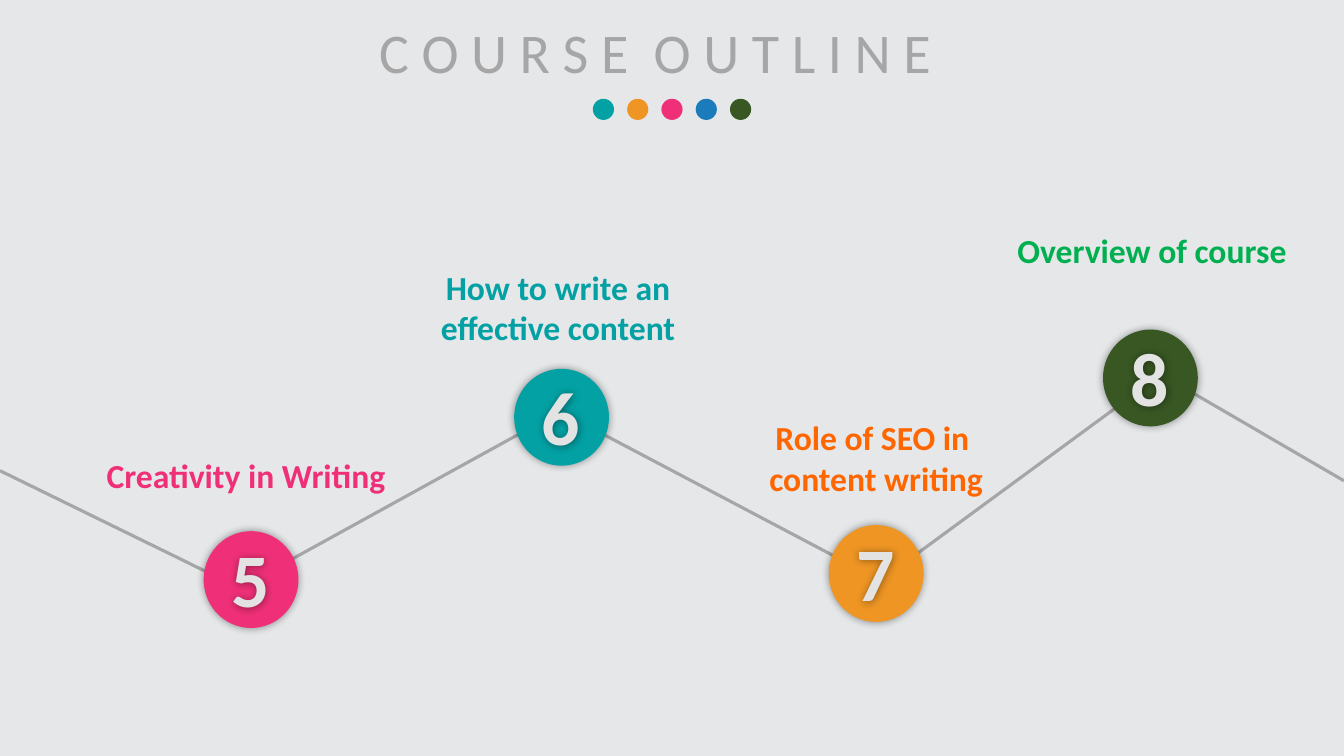
from dataclasses import dataclass

from lxml.etree import SubElement
from pptx import Presentation
from pptx.dml.color import RGBColor
from pptx.enum.shapes import MSO_CONNECTOR, MSO_SHAPE
from pptx.enum.text import PP_ALIGN
from pptx.oxml.ns import qn
from pptx.util import Emu, Pt


@dataclass(frozen=True)
class Theme:
    """Colours, font and type sizes of the slide."""
    background: str = "E6E7E9"
    grey: str = "A6A6A6"
    digit: str = "E3E3E3"
    teal: str = "03A1A4"
    orange: str = "EE9524"
    pink: str = "EF3078"
    blue: str = "1C7CBB"
    forest: str = "385723"
    bright_orange: str = "FF6600"
    green: str = "00B050"
    font: str = "Calibri"
    title_size: int = 40
    number_size: int = 54
    label_size: int = 24
    line_width: float = 2.25


class OutlineSlide:
    """Draws styled elements on the current page, measured in px."""
    EMU_PER_PX = 9144

    def __init__(self, deck, theme):
        """Add a blank page with the theme's background."""
        self.theme = theme
        self.page = deck.slides.add_slide(deck.slide_layouts[6])
        fill = self.page.background.fill
        fill.solid()
        fill.fore_color.rgb = RGBColor.from_string(theme.background)

    @classmethod
    def px(cls, *lengths):
        """Turn px into EMU."""
        return [Emu(length * cls.EMU_PER_PX) for length in lengths]

    def glow(self, shape):
        """Give a shape a soft dark shadow on all sides."""
        effects = SubElement(shape._element.spPr, qn("a:effectLst"))
        shadow = SubElement(effects, qn("a:outerShdw"), blurRad=str(Pt(6)),
                            dist="0", dir="0", algn="ctr", rotWithShape="0")
        colour = SubElement(shadow, qn("a:srgbClr"), val="000000")
        SubElement(colour, qn("a:alpha"), val="40000")

    def text(self, words, at, size, colour, bold=True):
        """Add a centred text box, one paragraph per line of words."""
        box = self.page.shapes.add_textbox(*self.px(*at))
        box.text_frame.word_wrap = True
        box.text_frame.text = words
        for para in box.text_frame.paragraphs:
            para.alignment = PP_ALIGN.CENTER
            for span in para.runs:
                span.font.name = self.theme.font
                span.font.size = Pt(size)
                span.font.bold = bold
                span.font.color.rgb = RGBColor.from_string(colour)
        return box

    def circle(self, at, colour):
        """Add a plain filled ellipse."""
        shape = self.page.shapes.add_shape(MSO_SHAPE.OVAL, *self.px(*at))
        shape.fill.solid()
        shape.fill.fore_color.rgb = RGBColor.from_string(colour)
        shape.line.fill.background()
        return shape

    def dots(self, left, top, size, step, colours):
        """Add a row of evenly spaced dots."""
        for index, colour in enumerate(colours):
            dot = self.circle((left + index * step, top, size, size), colour)
            dot.shadow.inherit = False

    def line(self, ends):
        """Add a straight grey line."""
        line = self.page.shapes.add_connector(MSO_CONNECTOR.STRAIGHT, *self.px(*ends))
        line.line.color.rgb = RGBColor.from_string(self.theme.grey)
        line.line.width = Pt(self.theme.line_width)
        SubElement(line._element.spPr, qn("a:effectLst"))

    def milestone(self, number, left, top, colour):
        """Add a numbered circle with a shadow."""
        self.glow(self.circle((left, top, 94, 96), colour))
        self.glow(self.text(number, (left + 16, top - 4, 61, 101),
                            self.theme.number_size, self.theme.digit))


def main():
    """Build the course outline slide."""
    theme = Theme()
    deck = Presentation()
    deck.slide_width, deck.slide_height = OutlineSlide.px(1333, 750)
    slide = OutlineSlide(deck, theme)

    slide.text("C O U R S E  O U T L I N E ", (258, 12, 796, 77),
               theme.title_size, theme.grey, bold=False)
    slide.dots(588, 98, 21, 34,
               (theme.teal, theme.orange, theme.pink, theme.blue, theme.forest))

    for ends in ((0, 467, 239, 584), (260, 571, 545, 414), (591, 427, 864, 571),
                 (880, 571, 1132, 386), (1173, 384, 1333, 477)):
        slide.line(ends)

    for number, left, top, colour in (("5", 202, 527, theme.pink),
                                      ("6", 510, 366, theme.teal),
                                      ("7", 822, 521, theme.orange),
                                      ("8", 1094, 327, theme.forest)):
        slide.milestone(number, left, top, colour)

    for words, at, colour in (
            ("Creativity in Writing", (90, 446, 308, 50), theme.pink),
            ("How to write an effective content", (417, 260, 273, 91), theme.teal),
            ("Role of SEO in \ncontent writing", (673, 409, 392, 91), theme.bright_orange),
            ("Overview of course", (997, 223, 291, 91), theme.green)):
        slide.text(words, at, theme.label_size, colour)

    deck.save("out.pptx")


if __name__ == "__main__":
    main()
